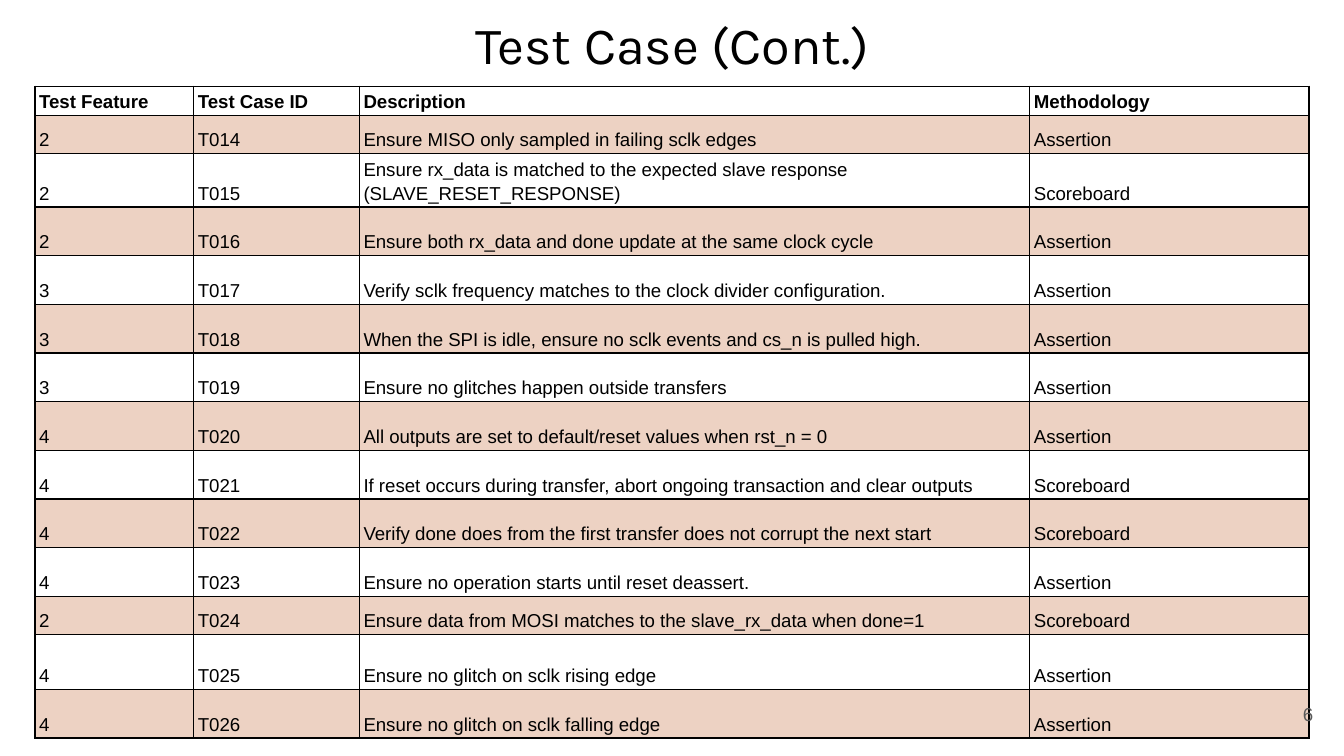
import lxml.etree
import pptx
import pptx.dml.color
import pptx.enum.text
import pptx.oxml.ns
import pptx.util

Cm = pptx.util.Cm
Pt = pptx.util.Pt
ALIGN = pptx.enum.text.PP_ALIGN
ANCHOR = pptx.enum.text.MSO_ANCHOR

COLORS = {"ink": "000000", "page": "FFFFFF", "band": "EDD2C3", "number": "595959"}

HEADINGS = ("Test Feature", "Test Case ID", "Description", "Methodology")
FIRST_CASE = 14
CASES = [
    ("2", "Ensure MISO only sampled in failing sclk edges", "Assertion"),
    ("2", "Ensure rx_data is matched to the expected slave response (SLAVE_RESET_RESPONSE)", "Scoreboard"),
    ("2", "Ensure both rx_data and done update at the same clock cycle", "Assertion"),
    ("3", "Verify sclk frequency matches to the clock divider configuration.", "Assertion"),
    ("3", "When the SPI is idle, ensure no sclk events and cs_n is pulled high.", "Assertion"),
    ("3", "Ensure no glitches happen outside transfers", "Assertion"),
    ("4", "All outputs are set to default/reset values when rst_n = 0", "Assertion"),
    ("4", "If reset occurs during transfer, abort ongoing transaction and clear outputs", "Scoreboard"),
    ("4", "Verify done does from the first transfer does not corrupt the next start", "Scoreboard"),
    ("4", "Ensure no operation starts until reset deassert.", "Assertion"),
    ("2", "Ensure data from MOSI matches to the slave_rx_data when done=1", "Scoreboard"),
    ("4", "Ensure no glitch on sclk rising edge", "Assertion"),
    ("4", "Ensure no glitch on sclk falling edge", "Assertion"),
]
COLUMN_WIDTHS = (3.0, 3.13, 12.67, 5.28)
ROW_HEIGHT = 0.92
SPECIAL_HEIGHTS = {0: 0.51, 1: 0.72, 11: 0.72, 12: 1.04}


class SlideBuilder:
    """Hold the style and the current slide, and add each kind of element."""

    def __init__(self, slide):
        self.slide = slide
        self.body_font = "Arial"
        self.title_font = "Karla"
        self.body_size = 10

    def color(self, name):
        return pptx.dml.color.RGBColor.from_string(COLORS[name])

    def add_text(self, frame, text, size, font, color, align, bold=False):
        paragraph = frame.paragraphs[0]
        paragraph.alignment = align
        run = paragraph.add_run()
        run.text = text
        run.font.size = Pt(size)
        run.font.name = font
        run.font.bold = bold
        run.font.color.rgb = self.color(color)
        return paragraph

    def frame(self, holder):
        frame = holder.text_frame
        frame.word_wrap = True
        frame.auto_size = pptx.enum.text.MSO_AUTO_SIZE.NONE
        frame.vertical_anchor = ANCHOR.MIDDLE
        frame.margin_left = frame.margin_right = Cm(0.25)
        frame.margin_top = frame.margin_bottom = Cm(0.25)
        return frame

    def title(self, text, left, top, width, height):
        title = self.slide.shapes.title
        title.left, title.top, title.width, title.height = map(Cm, (left, top, width, height))
        self.add_text(self.frame(title), text, 28, self.title_font, "ink", ALIGN.CENTER)

    def page_number(self, text, left, top, width, height):
        number = self.slide.shapes.add_textbox(*map(Cm, (left, top, width, height)))
        self.add_text(self.frame(number), text, self.body_size, self.body_font, "number", ALIGN.RIGHT)

    def border(self, cell):
        properties = cell._tc.get_or_add_tcPr()
        qn = pptx.oxml.ns.qn
        for side in ("a:lnL", "a:lnR", "a:lnT", "a:lnB"):
            line = lxml.etree.SubElement(properties, qn(side), w=str(Pt(0.75)))
            fill = lxml.etree.SubElement(line, qn("a:solidFill"))
            lxml.etree.SubElement(fill, qn("a:srgbClr"), val=COLORS["ink"])

    def cell(self, cell, text, fill, bold):
        self.border(cell)
        cell.fill.solid()
        cell.fill.fore_color.rgb = self.color(fill)
        cell.vertical_anchor = ANCHOR.BOTTOM
        cell.margin_left = cell.margin_right = Cm(0.08)
        cell.margin_top = cell.margin_bottom = Cm(0.05)
        paragraph = self.add_text(cell.text_frame, text, self.body_size, self.body_font,
                                  "ink", ALIGN.LEFT, bold)
        paragraph.line_spacing = 1.15

    def table(self, rows, left, top, widths, heights):
        table = self.slide.shapes.add_table(
            len(rows), len(widths), Cm(left), Cm(top), Cm(sum(widths)), Cm(sum(heights))).table
        table.first_row = True
        table.horz_banding = False
        for column, width in zip(table.columns, widths):
            column.width = Cm(width)
        for index, (row, height) in enumerate(zip(rows, heights)):
            table.rows[index].height = Cm(height)
            for cell, text in zip(table.rows[index].cells, row):
                self.cell(cell, text, "band" if index % 2 else "page", index == 0)


def main():
    presentation = pptx.Presentation()
    presentation.slide_width = Cm(25.4)
    presentation.slide_height = Cm(14.29)
    builder = SlideBuilder(presentation.slides.add_slide(presentation.slide_layouts[5]))

    rows = [HEADINGS] + [
        (feature, f"T{number:03}", description, methodology)
        for number, (feature, description, methodology) in enumerate(CASES, FIRST_CASE)
    ]
    heights = [SPECIAL_HEIGHTS.get(index, ROW_HEIGHT) for index in range(len(rows))]

    builder.title("Test Case (Cont.)", 1.98, 0.15, 21.46, 1.35)
    builder.table(rows, 0.66, 1.63, COLUMN_WIDTHS, heights)
    builder.page_number("6", 23.55, 12.95, 1.52, 1.09)
    presentation.save("out.pptx")


if __name__ == "__main__":
    main()
